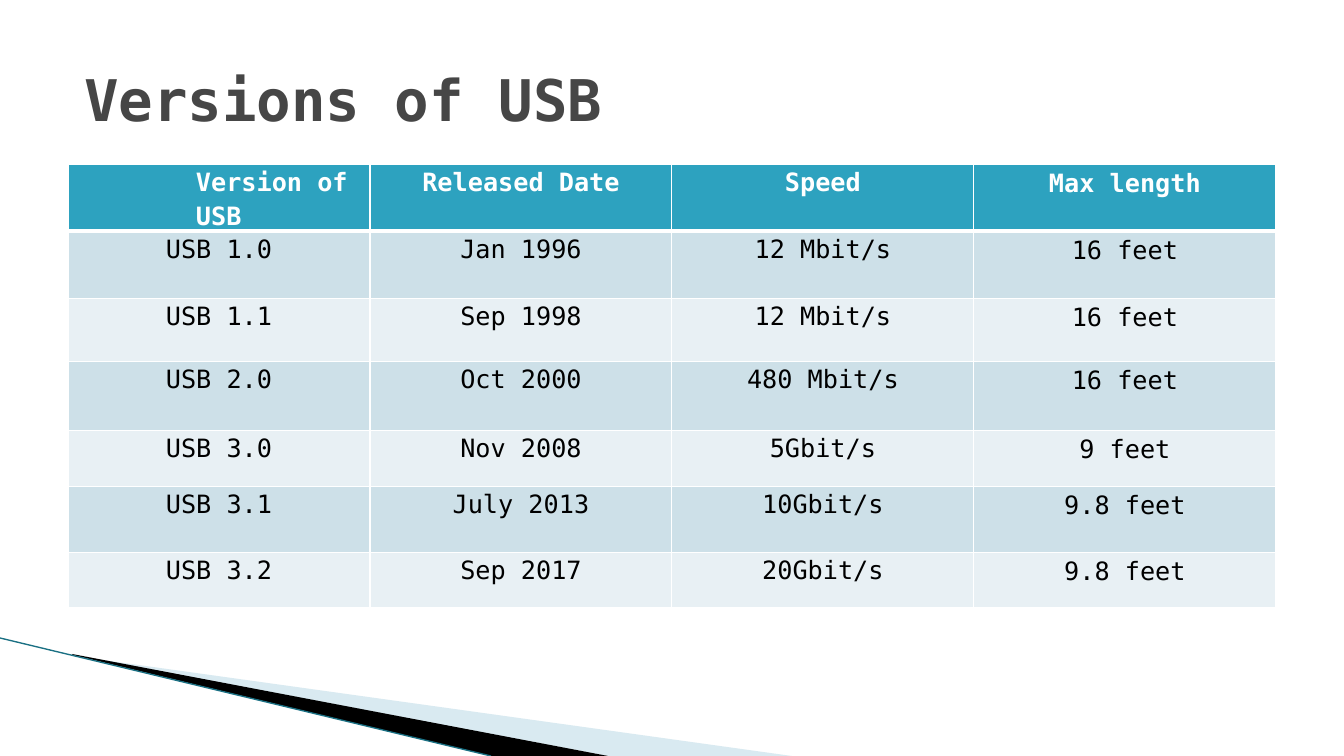
import pptx
import pptx.util
import pptx.dml.color
import pptx.enum.text
import pptx.oxml
import pptx.oxml.ns
from lxml import etree

TITLE = "Versions of USB"
ROWS = [
    ("Version of USB", "Released Date", "Speed", "Max length"),
    ("USB 1.0", "Jan 1996", "12 Mbit/s", "16 feet"),
    ("USB 1.1", "Sep 1998", "12 Mbit/s", "16 feet"),
    ("USB 2.0", "Oct 2000", "480 Mbit/s", "16 feet"),
    ("USB 3.0", "Nov 2008", "5Gbit/s", "9 feet"),
    ("USB 3.1", "July 2013", "10Gbit/s", "9.8 feet"),
    ("USB 3.2", "Sep 2017", "20Gbit/s", "9.8 feet"),
]
ROW_HEIGHTS = [67, 67, 63, 69, 56, 66, 55]
COLUMN_WIDTH = 302
TABLE_LEFT, TABLE_TOP = 68, 164
FONT = "DejaVu Sans Mono"
COLORS = {
    "title": "464646", "header": "2DA2BF", "odd": "CDE0E8", "even": "E8F0F4",
    "white": "FFFFFF", "black": "000000", "wedge": "A0CBDC", "edge": "1A7083",
}
WEDGES = [
    ("wedge", 40, [(74, 656), (792, 756), (608, 756), (74, 655)]),
    ("black", 100, [(72, 654), (608, 756), (491, 756), (73, 655)]),
]
EDGE = (0, 638, 491, 756)
ALIGN = pptx.enum.text.PP_ALIGN
ANCHOR = pptx.enum.text.MSO_ANCHOR
EMU_PER_PX = 914400 / 100.8


def px(length):
    return pptx.util.Emu(round(length * EMU_PER_PX))


def color(name):
    return pptx.dml.color.RGBColor.from_string(COLORS[name])


def apply(target, values):
    for name, value in values.items():
        setattr(target, name, value)


def write(frame, text, size, tint, bold, para_format):
    para = frame.paragraphs[0]
    apply(para, para_format)
    span = para.add_run()
    span.text = text
    apply(span.font, {"name": FONT, "size": pptx.util.Pt(size), "bold": bold})
    span.font.color.rgb = color(tint)


def add_border(cell, side, points):
    properties = cell._tc.get_or_add_tcPr()
    line = etree.SubElement(properties, pptx.oxml.ns.qn("a:ln" + side),
                            w=str(pptx.util.Pt(points)))
    fill = etree.SubElement(line, pptx.oxml.ns.qn("a:solidFill"))
    etree.SubElement(fill, pptx.oxml.ns.qn("a:srgbClr"), val=COLORS["white"])


def add_decoration(page):
    for tint, opacity, points in WEDGES:
        builder = page.shapes.build_freeform(*points[0], scale=EMU_PER_PX)
        builder.add_line_segments(points[1:], close=True)
        wedge = builder.convert_to_shape()
        wedge.shadow.inherit = False
        wedge.fill.solid()
        wedge.fill.fore_color.rgb = color(tint)
        wedge.line.fill.background()
        if opacity < 100:
            shade = wedge._element.spPr.find(".//" + pptx.oxml.ns.qn("a:srgbClr"))
            etree.SubElement(shade, pptx.oxml.ns.qn("a:alpha"), val=str(opacity * 1000))
    edge = page.shapes.add_connector(pptx.enum.shapes.MSO_CONNECTOR.STRAIGHT,
                                     *[px(value) for value in EDGE])
    edge.line.color.rgb = color("edge")
    edge.line.width = pptx.util.Pt(0.95)
    etree.SubElement(edge._element.spPr, pptx.oxml.ns.qn("a:effectLst"))


def add_title(page):
    title = page.shapes.title
    apply(title, {"left": px(74), "top": px(53), "width": px(1037), "height": px(154)})
    apply(title.text_frame, {
        "word_wrap": True, "vertical_anchor": ANCHOR.TOP, "margin_top": px(11),
        "margin_left": px(10), "auto_size": pptx.enum.text.MSO_AUTO_SIZE.NONE,
    })
    write(title.text_frame, TITLE, 41, "title", True, {"alignment": ALIGN.LEFT})


def add_versions(page):
    columns = len(ROWS[0])
    table = page.shapes.add_table(
        len(ROWS), columns, px(TABLE_LEFT), px(TABLE_TOP),
        px(COLUMN_WIDTH * columns), px(sum(ROW_HEIGHTS))).table
    for column in table.columns:
        column.width = px(COLUMN_WIDTH)
    for r, texts in enumerate(ROWS):
        table.rows[r].height = px(ROW_HEIGHTS[r])
        header = r == 0
        fill = "header" if header else "odd" if r % 2 else "even"
        for c, text in enumerate(texts):
            cell = table.cell(r, c)
            last = c == columns - 1
            indented = header and c == 0
            side, end = (12, 5) if last else (9, 0)
            apply(cell, {
                "margin_left": px(128 if indented else side), "margin_right": px(side),
                "margin_top": px(end), "margin_bottom": px(end),
                "vertical_anchor": ANCHOR.TOP,
            })
            for edge, points in (("L", 1), ("R", 1), ("T", 3 if r == 1 else 1),
                                 ("B", 3 if header else 1)):
                add_border(cell, edge, points)
            cell.fill.solid()
            cell.fill.fore_color.rgb = color(fill)
            write(cell.text_frame, text, 18, "white" if header else "black", header, {
                "alignment": ALIGN.LEFT if indented else ALIGN.CENTER,
                "line_spacing": 1.0 if last else 1.15,
            })


def main():
    deck = pptx.Presentation()
    apply(deck, {"slide_width": px(1344), "slide_height": px(756)})
    page = deck.slides.add_slide(deck.slide_layouts[5])
    add_decoration(page)
    add_versions(page)
    add_title(page)
    deck.save("out.pptx")


if __name__ == "__main__":
    main()
